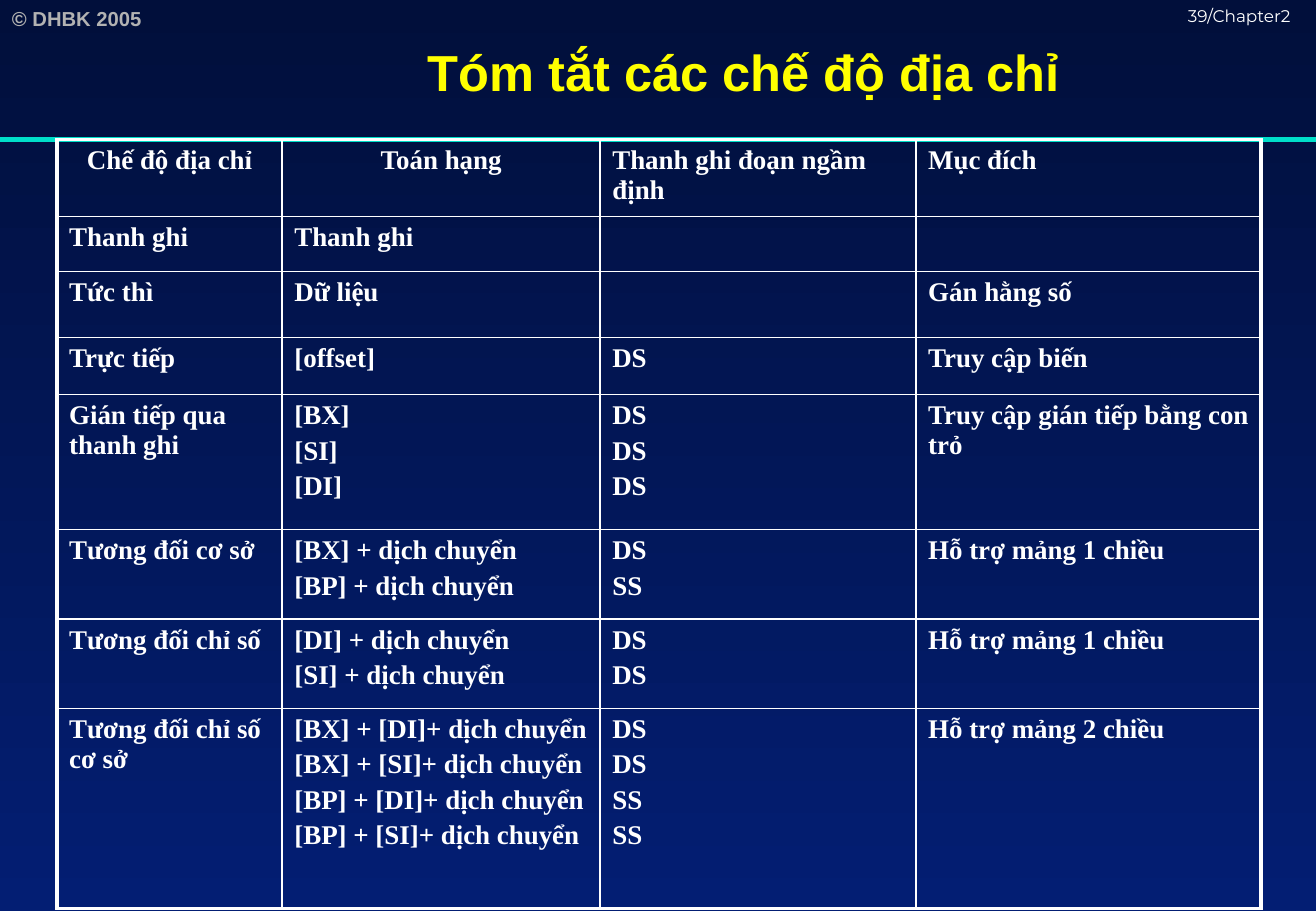
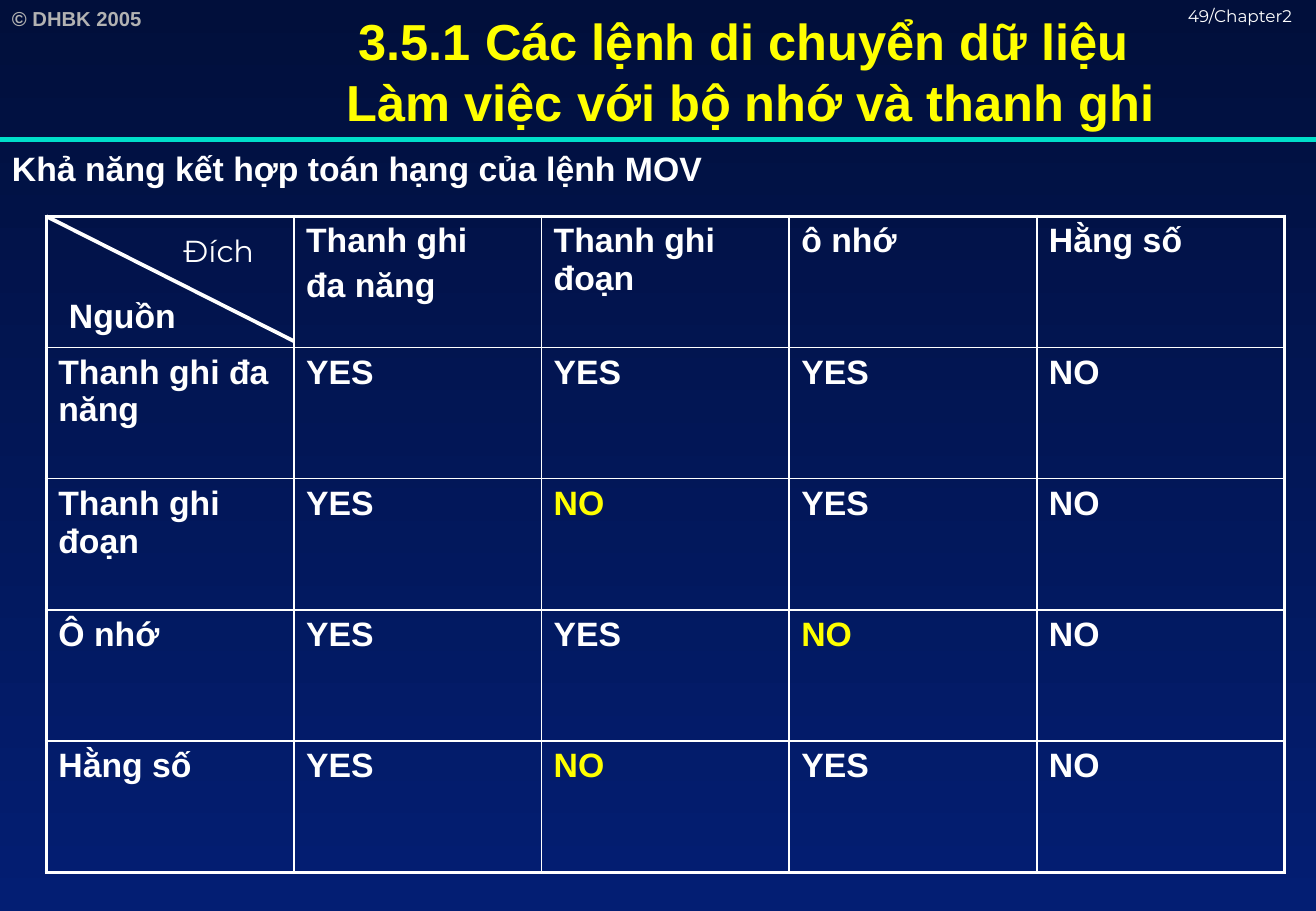
"""Build two slides on addressing modes and MOV operands."""
from lxml import etree
from pptx import Presentation
from pptx.dml.color import RGBColor
from pptx.enum.shapes import MSO_CONNECTOR
from pptx.enum.text import MSO_ANCHOR, PP_ALIGN
from pptx.oxml.ns import qn
from pptx.util import Pt

LEFT, MID = PP_ALIGN.LEFT, PP_ALIGN.CENTER
CENTRE = MSO_ANCHOR.MIDDLE
LINE = MSO_CONNECTOR.STRAIGHT
WIDE, HIGH = 780, 540
RULE = 82.8
THIN, THICK = 1, 2.25
SANS, SERIF, LIGHT = "Arial", "Times New Roman", "Montserrat"
COLORS = {
    "top": "010F3B",
    "base": "031E73",
    "rule": "00DFCA",
    "title": "FFFF00",
    "text": "FFFFFF",
    "mark": "B2B2B2",
}

MODES = [
    ["Chế độ địa chỉ", "Toán hạng", "Thanh ghi đoạn ngầm định", "Mục đích"],
    ["Thanh ghi", "Thanh ghi", "", ""],
    ["Tức thì", "Dữ liệu", "", "Gán hằng số"],
    ["Trực tiếp", "[offset]", "DS", "Truy cập biến"],
    ["Gián tiếp qua thanh ghi", "[BX]\n[SI]\n[DI]", "DS\nDS\nDS",
     "Truy cập gián tiếp bằng con trỏ"],
    ["Tương đối cơ sở", "[BX] + dịch chuyển\n[BP] + dịch chuyển", "DS\nSS",
     "Hỗ trợ mảng 1 chiều"],
    ["Tương đối chỉ số", "[DI] + dịch chuyển\n[SI] + dịch chuyển", "DS\nDS",
     "Hỗ trợ mảng 1 chiều"],
    ["Tương đối chỉ số cơ sở",
     "[BX] + [DI]+ dịch chuyển\n[BX] + [SI]+ dịch chuyển\n"
     "[BP] + [DI]+ dịch chuyển\n[BP] + [SI]+ dịch chuyển",
     "DS\nDS\nSS\nSS", "Hỗ trợ mảng 2 chiều"],
]
MOVES = [
    ["", "Thanh ghi\nđa năng", "Thanh ghi đoạn", "ô nhớ", "Hằng số"],
    ["Thanh ghi đa năng", "YES", "YES", "YES", "NO"],
    ["Thanh ghi đoạn", "YES", "NO", "YES", "NO"],
    ["Ô nhớ", "YES", "YES", "NO", "NO"],
    ["Hằng số", "YES", "NO", "YES", "NO"],
]
BANNED = {(2, 2), (3, 3), (4, 2)}


def rgb(name):
    """Return the named colour."""
    return RGBColor.from_string(COLORS[name])


def write(frame, text, size, face=SANS, color="text", bold=True, align=LEFT):
    """Fill a text frame with evenly styled paragraphs."""
    frame.text = text
    for i, para in enumerate(frame.paragraphs):
        para.alignment = align
        if i:
            para.space_before = Pt(size * 0.2)
        font = para.font
        font.name, font.size, font.bold = face, Pt(size), bold
        font.color.rgb = rgb(color)


def label(slide, box, text, size, wrap=True, **style):
    """Add a text box and return its frame."""
    frame = slide.shapes.add_textbox(*map(Pt, box)).text_frame
    frame.word_wrap = wrap
    write(frame, text, size, **style)
    return frame


def bullet(slide, box, text, size):
    """Add a text box with one bulleted line."""
    frame = slide.shapes.add_textbox(*map(Pt, box)).text_frame
    frame.word_wrap = True
    props = frame.paragraphs[0]._p.get_or_add_pPr()
    props.set("marL", str(Pt(27)))
    props.set("indent", str(-Pt(27)))
    etree.SubElement(props, qn("a:buChar")).set("char", "•")
    write(frame, text, size)


def stroke(slide, ends, color, width):
    """Draw a straight line without a shadow."""
    line = slide.shapes.add_connector(LINE, *map(Pt, ends))
    line.line.color.rgb = rgb(color)
    line.line.width = Pt(width)
    etree.SubElement(line._element.spPr, qn("a:effectLst"))


def edge(cell, side, width):
    """Set one border of a cell."""
    line = etree.SubElement(cell._tc.get_or_add_tcPr(), qn(f"a:ln{side}"))
    line.set("w", str(Pt(width)))
    fill = etree.SubElement(line, qn("a:solidFill"))
    etree.SubElement(fill, qn("a:srgbClr")).set("val", COLORS["text"])


def grid(slide, left, top, cols, rows, data, style):
    """Add a clear table with a thick frame; style gives each cell's look."""
    shape = slide.shapes.add_table(
        len(rows), len(cols), Pt(left), Pt(top), Pt(sum(cols)), Pt(sum(rows)))
    table = shape.table
    table.first_row = table.horz_banding = False
    for col, width in zip(table.columns, cols):
        col.width = Pt(width)
    for row, height in zip(table.rows, rows):
        row.height = Pt(height)
    for r, texts in enumerate(data):
        for c, text in enumerate(texts):
            cell = table.cell(r, c)
            outer = {"L": c == 0, "R": c == len(cols) - 1,
                     "T": r == 0, "B": r == len(rows) - 1}
            for side, thick in outer.items():
                edge(cell, side, THICK if thick else THIN)
            cell.fill.background()
            write(cell.text_frame, text, **style(r, c))


def page(deck, number, title):
    """Add a slide with the shared background, header and title."""
    slide = deck.slides.add_slide(deck.slide_layouts[6])
    fill = slide.background.fill
    fill.gradient()
    fill.gradient_angle = 270
    for stop, place, name in zip(fill.gradient_stops, (0, 1), ("top", "base")):
        stop.position = place
        stop.color.rgb = rgb(name)
    label(slide, (0, 0, 113, 21.6), "© DHBK 2005", 12, color="mark")
    stroke(slide, (0, RULE, WIDE, RULE), "rule", 3)
    label(slide, (697, 0, 113.8, 18), f"{number}/Chapter2", 10,
          face=LIGHT, bold=False)
    frame = label(slide, (101.5, 0, 679, 84.2), title, 30,
                  color="title", align=MID)
    frame.vertical_anchor = CENTRE
    return slide


def modes(deck):
    """Build the summary of addressing modes."""
    def style(r, c):
        """Centre the first two headings."""
        return {"size": 16, "face": SERIF,
                "align": MID if r == 0 and c < 2 else LEFT}

    slide = page(deck, 39, "Tóm tắt các chế độ địa chỉ")
    grid(slide, 33.8, RULE, (133.5, 188.5, 187.2, 204.4),
         (43, 32.4, 39.4, 33.8, 80, 53, 53, 118.6), MODES, style)


def moves(deck):
    """Build the table of MOV operand pairs."""
    def style(r, c):
        """Highlight the banned pairs."""
        return {"size": 20, "color": "title" if (r, c) in BANNED else "text"}

    slide = page(deck, 49, "3.5.1 Các lệnh di chuyển dữ liệu\v"
                           " Làm việc với bộ nhớ và thanh ghi")
    bullet(slide, (0, 84.2, WIDE, HIGH - 84.2),
           "Khả năng kết hợp toán hạng của lệnh MOV", 20)
    left, top, width = 27.4, 128.2, 146.8
    grid(slide, left, top, [width] * 5, [77.8] * 5, MOVES, style)
    label(slide, (101.5, 134, 63.4, 29), "Đích", 18, wrap=False,
          face=LIGHT, bold=False)
    label(slide, (33.8, 171.4, 77.8, 31), "Nguồn", 20, wrap=False)
    stroke(slide, (left, top, left + width, top + 74), "text", THICK)


def main():
    """Build and save the deck."""
    deck = Presentation()
    deck.slide_width, deck.slide_height = Pt(WIDE), Pt(HIGH)
    modes(deck)
    moves(deck)
    deck.save("out.pptx")


if __name__ == "__main__":
    main()
